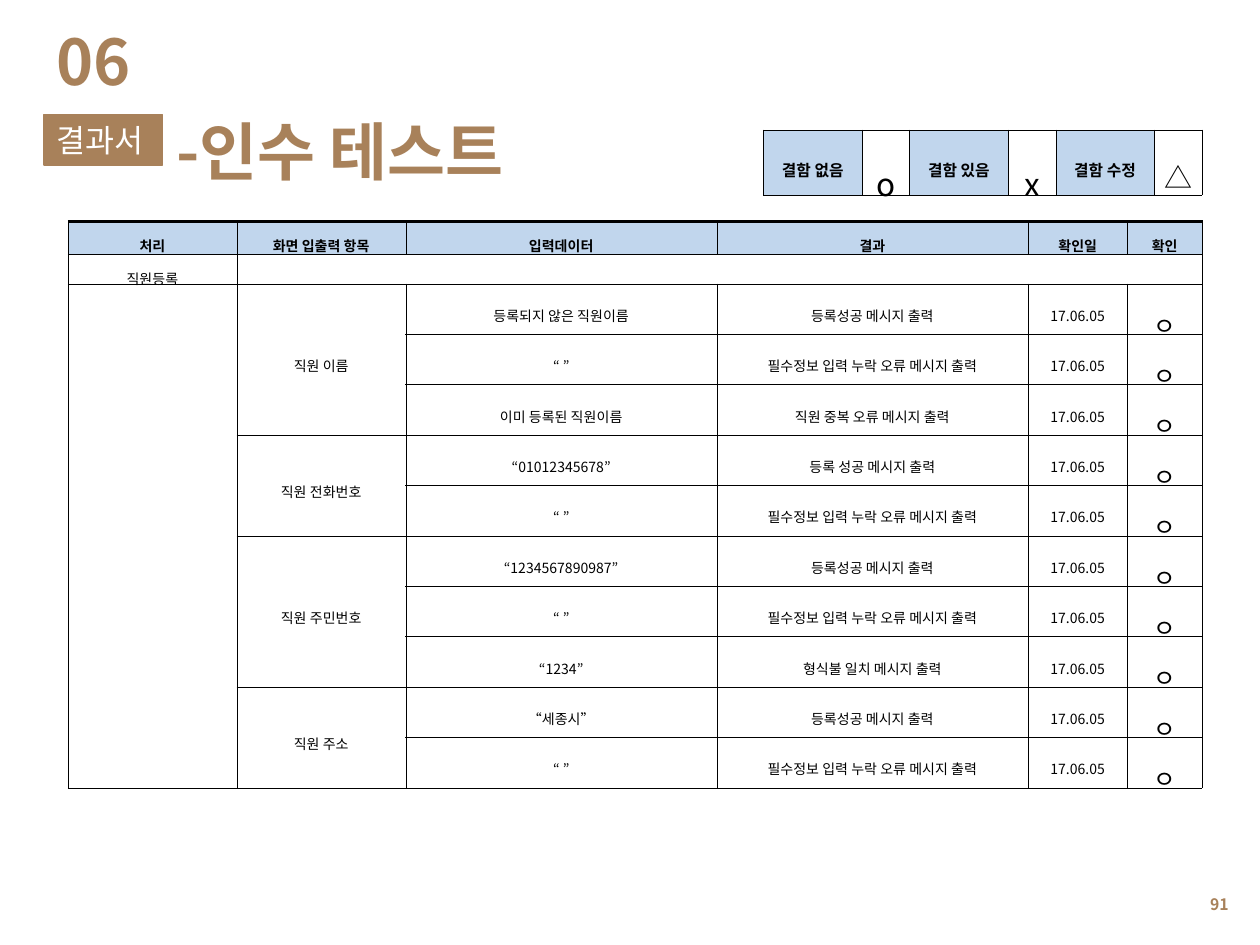
from pptx import Presentation
from pptx.util import Inches, Pt
from pptx.dml.color import RGBColor
from pptx.enum.shapes import MSO_SHAPE as SHAPE
from pptx.enum.text import PP_ALIGN as AL, MSO_ANCHOR as ANC
from pptx.oxml.ns import qn
from lxml.etree import SubElement

FONT = "Noto Sans CJK KR"
BROWN, BLUE, BLACK, WHITE = "A8815A", "C1D6ED", "000000", "FFFFFF"
rgb = RGBColor.from_string


def write(tf, text, size, color, bold=False, align=AL.LEFT, anchor=ANC.TOP):
    tf.word_wrap = True
    tf.vertical_anchor = anchor
    p = tf.paragraphs[0]
    p.alignment = align
    if text:
        r = p.add_run()
        r.text = text
        r.font.size, r.font.bold, r.font.name = Pt(size), bold, FONT
        r.font.color.rgb = rgb(color)
        SubElement(r.font._element, qn("a:ea"), typeface=FONT)
    else:
        SubElement(p._p, qn("a:endParaRPr"), sz=str(size * 100))
    return p


def format_cell(cell, text, size, bold, fill, margins, borders, anchor=ANC.MIDDLE):
    cell.margin_left = cell.margin_right = Inches(margins[0])
    cell.margin_top = cell.margin_bottom = Inches(margins[1])
    p = write(cell.text_frame, text, size, BLACK, bold, AL.CENTER)
    p.line_spacing = 1.6
    cell.vertical_anchor = anchor
    tcPr = cell._tc.get_or_add_tcPr()
    for side, width in zip("LRTB", borders):
        ln = SubElement(tcPr, qn("a:ln" + side), w=str(Pt(width)))
        solid = SubElement(ln, qn("a:solidFill"))
        SubElement(solid, qn("a:srgbClr"), val=BLACK)
    if fill:
        cell.fill.solid()
        cell.fill.fore_color.rgb = rgb(fill)
    else:
        cell.fill.background()


prs = Presentation()
prs.slide_width, prs.slide_height = Inches(10), Inches(7.5)
s = prs.slides.add_slide(prs.slide_layouts[5])

# Page number
sp = s.shapes.add_textbox(Inches(7.52), Inches(6.98), Inches(2.33), Inches(0.4))
write(sp.text_frame, "91", 9, BROWN, True, AL.RIGHT, ANC.MIDDLE)

# Section label and number
sp = s.shapes.add_shape(SHAPE.RECTANGLE, Inches(0.35), Inches(0.91), Inches(0.94), Inches(0.4))
sp.shadow.inherit = False
sp.fill.solid()
sp.fill.fore_color.rgb = sp.line.color.rgb = rgb(BROWN)
sp.line.width = Pt(0.75)
write(sp.text_frame, "결과서", 18, WHITE, align=AL.JUSTIFY, anchor=ANC.MIDDLE)

sp = s.shapes.add_textbox(Inches(0.35), Inches(0.13), Inches(1.26), Inches(0.71))
write(sp.text_frame, "06", 36, BROWN, True)

# Title
sp = s.shapes.title
sp.left, sp.top, sp.width, sp.height = Inches(1.3), Inches(0.84), Inches(8.03), Inches(0.71)
write(sp.text_frame, "-인수 테스트", 36, BROWN, True)

# Test results: item, then (input, result) for each case
MISSING = ("“ ”", "필수정보 입력 누락 오류 메시지 출력")
groups = [
    ("직원 이름", [("등록되지 않은 직원이름", "등록성공 메시지 출력"), MISSING,
               ("이미 등록된 직원이름", "직원 중복 오류 메시지 출력")]),
    ("직원 전화번호", [("“01012345678”", "등록 성공 메시지 출력"), MISSING]),
    ("직원 주민번호", [("“1234567890987”", "등록성공 메시지 출력"), MISSING,
                 ("“1234”", "형식불 일치 메시지 출력")]),
    ("직원 주소", [("“세종시”", "등록성공 메시지 출력"), MISSING]),
]
rows = [["처리", "화면 입출력 항목", "입력데이터", "결과", "확인일", "확인"],
        ["직원등록", "", "", "", "", ""]]
merges = [(1, 1, 1, 5), (2, 0, 11, 0)]
for item, cases in groups:
    merges.append((len(rows), 1, len(rows) + len(cases) - 1, 1))
    for i, (data, result) in enumerate(cases):
        rows.append(["", "" if i else item, data, result, "17.06.05", "ㅇ"])

table = s.shapes.add_table(len(rows), 6, Inches(0.54), Inches(1.76), Inches(9), Inches(4.52)).table
table.first_row = table.horz_banding = False
for col, width in zip(table.columns, [1.34, 1.34, 2.47, 2.47, 0.79, 0.59]):
    col.width = Inches(width)
for i, row in enumerate(rows):
    table.rows[i].height = Inches([0.26, 0.23][i] if i < 2 else 0.4)
    top = 0.25 if i else 1.7
    for j, text in enumerate(row):
        format_cell(table.cell(i, j), text, 14 if text == "ㅇ" else 8, i == 0,
                    None if i else BLUE, (0.05, 0.01), (0.25, 0.25, top, 0.25))
for r1, c1, r2, c2 in merges:
    table.cell(r1, c1).merge(table.cell(r2, c2))

# Legend
legend = [("결함 없음", "o", 18, ANC.TOP), ("결함 있음", "x", 18, ANC.MIDDLE),
          ("결함 수정", "△", 16, ANC.MIDDLE)]
table = s.shapes.add_table(1, 6, Inches(6.06), Inches(1.03), Inches(3.48), Inches(0.52)).table
table.first_row = table.horz_banding = False
for i, (label, mark, size, anchor) in enumerate(legend):
    table.columns[2 * i].width = Inches(0.78)
    table.columns[2 * i + 1].width = Inches(0.38)
    style = (0.07, 0.02), (0.28,) * 4
    format_cell(table.cell(0, 2 * i), label, 9, True, BLUE, *style)
    format_cell(table.cell(0, 2 * i + 1), mark, size, False, None, *style, anchor)

prs.save("out.pptx")
